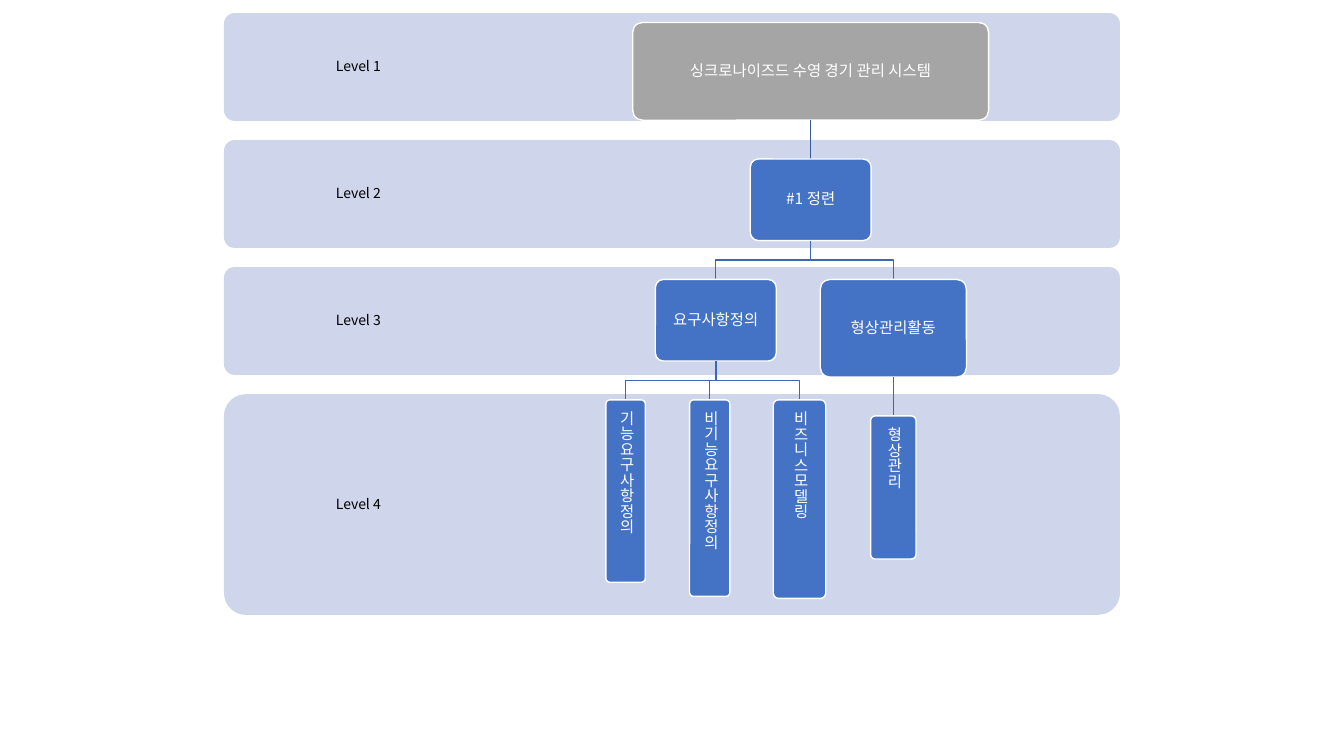
import dataclasses
import typing

import lxml.etree
import pptx
import pptx.dml.color
import pptx.enum.shapes
import pptx.enum.text
import pptx.oxml.ns
import pptx.util

COLORS = {
    "band": "CFD5EA",
    "root": "A5A5A5",
    "node": "4472C4",
    "root_link": "365B9D",
    "link": "3E67B2",
    "outline": "FFFFFF",
    "node_text": "FFFFFF",
    "band_text": "000000",
}
FONT = "Noto Sans CJK KR"
WIDTH = pptx.util.Inches(13.33)
HEIGHT = pptx.util.Inches(7.5)
COLUMN = WIDTH / 12
BAND_TOP, BAND_GAP = 1.73, 2.53
BAND_HEIGHTS = [14.27, 14.27, 14.27, 29.2]
ROOT_TOP, LINK_HEIGHT = 2.97, 5.13


@dataclasses.dataclass
class Node:
    text: str
    center: float
    width: float
    height: float
    vertical: bool = False
    fill: str = "node"
    link: str = "link"
    children: typing.List["Node"] = dataclasses.field(default_factory=list)


requirements = Node("요구사항정의", 53.26, 9, 10.8, children=[
    Node("기능요구사항정의", 46.55, 2.93, 24.13, vertical=True),
    Node("비기능요구사항정의", 52.81, 3, 26, vertical=True),
    Node("비즈니스모델링", 59.49, 3.9, 26.27, vertical=True),
])
configuration = Node("형상관리활동", 66.47, 10.88, 12.93, children=[
    Node("형상관리", 66.47, 3.38, 18.93, vertical=True),
])
refinement = Node("#1 정련", 60.32, 9, 10.8, children=[requirements, configuration])
system = Node("싱크로나이즈드 수영 경기 관리 시스템", 60.32, 26.48, 12.93,
              fill="root", link="root_link", children=[refinement])

presentation = pptx.Presentation()
presentation.slide_width, presentation.slide_height = WIDTH, HEIGHT
slide = presentation.slides.add_slide(presentation.slide_layouts[6])


def across(share: float) -> int:
    return round(WIDTH * share / 100)


def down(share: float) -> int:
    return round(HEIGHT * share / 100)


def color(name: str) -> pptx.dml.color.RGBColor:
    return pptx.dml.color.RGBColor.from_string(COLORS[name])


def add_box(left: float, top: float, width: float, height: float, fill: str):
    shape = slide.shapes.add_shape(
        pptx.enum.shapes.MSO_SHAPE.ROUNDED_RECTANGLE,
        round(left), round(top), round(width), round(height))
    shape.adjustments[0] = 0.1
    shape.shadow.inherit = False
    shape.fill.solid()
    shape.fill.fore_color.rgb = color(fill)
    return shape


def write(shape, text: str, size: int, text_color: str, margin: float, vertical: bool = False) -> None:
    frame = shape.text_frame
    frame.word_wrap = True
    frame.vertical_anchor = pptx.enum.text.MSO_ANCHOR.MIDDLE
    frame.margin_left = frame.margin_right = pptx.util.Inches(margin)
    frame.margin_top = frame.margin_bottom = pptx.util.Inches(margin)
    paragraph = frame.paragraphs[0]
    paragraph.text = text
    paragraph.line_spacing = 0.9
    paragraph.alignment = pptx.enum.text.PP_ALIGN.CENTER
    if vertical:
        paragraph.alignment = pptx.enum.text.PP_ALIGN.LEFT
        body = frame._txBody.find(pptx.oxml.ns.qn("a:bodyPr"))
        body.set("vert", "eaVert")
    font = paragraph.font
    font.name = FONT
    font.size = pptx.util.Pt(size)
    font.color.rgb = color(text_color)
    east_asian = lxml.etree.SubElement(font._element, pptx.oxml.ns.qn("a:ea"))
    east_asian.set("typeface", FONT)


def add_link(parent: Node, child: Node, top: float) -> None:
    start, end = across(parent.center), across(child.center)
    upper, middle, lower = down(top), down(top + LINK_HEIGHT / 2), down(top + LINK_HEIGHT)
    if start == end:
        line = slide.shapes.add_connector(
            pptx.enum.shapes.MSO_CONNECTOR.STRAIGHT, start, upper, end, lower)
        properties = line._element.spPr
    else:
        builder = slide.shapes.build_freeform(start, upper)
        builder.add_line_segments([(start, middle), (end, middle), (end, lower)], close=False)
        line = builder.convert_to_shape()
        line.fill.background()
        line.shadow.inherit = False
        properties = None
    line.line.color.rgb = color(parent.link)
    line.line.width = pptx.util.Pt(1)
    if properties is not None:
        lxml.etree.SubElement(properties, pptx.oxml.ns.qn("a:effectLst"))


def add_node(node: Node, top: float) -> None:
    shape = add_box(across(node.center - node.width / 2), down(top),
                    across(node.width), down(node.height), node.fill)
    shape.line.color.rgb = color("outline")
    shape.line.width = pptx.util.Pt(1)
    write(shape, node.text, 11, "node_text", 0.05, node.vertical)
    bottom = top + node.height
    for child in node.children:
        add_link(node, child, bottom)
        add_node(child, bottom + LINK_HEIGHT)


band_top = BAND_TOP
for level, band_height in enumerate(BAND_HEIGHTS, start=1):
    band = add_box(2 * COLUMN, down(band_top), 8 * COLUMN, down(band_height), "band")
    band.line.fill.background()
    label = slide.shapes.add_textbox(band.left, band.top, round(2.4 * COLUMN), band.height)
    write(label, f"Level {level}", 10, "band_text", 0.08)
    band_top += band_height + BAND_GAP

add_node(system, ROOT_TOP)
presentation.save("out.pptx")
